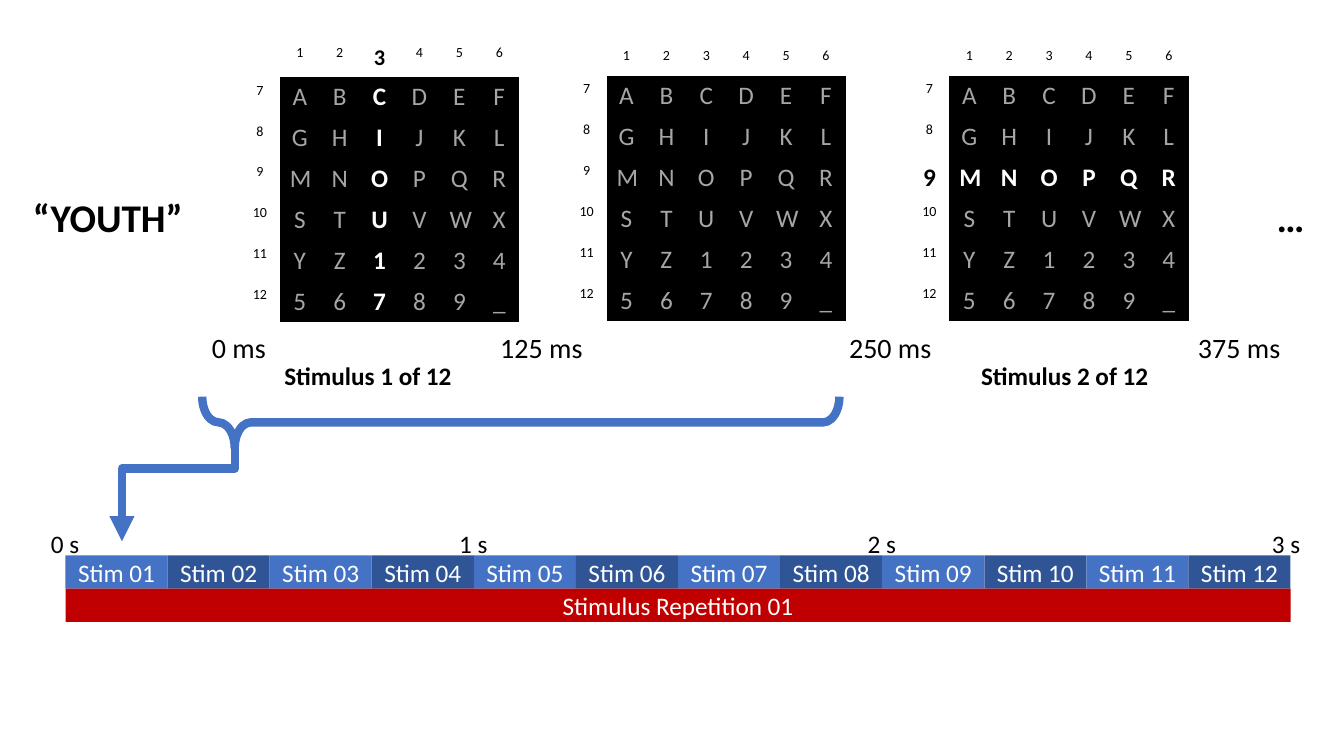
from dataclasses import dataclass

from lxml.etree import SubElement
from pptx import Presentation
from pptx.dml.color import RGBColor
from pptx.enum.shapes import MSO_CONNECTOR, MSO_SHAPE
from pptx.enum.text import MSO_ANCHOR, MSO_AUTO_SIZE, PP_ALIGN
from pptx.oxml.ns import qn
from pptx.util import Inches, Pt


@dataclass(frozen=True)
class Theme:
    font: str = "Calibri"
    black: str = "000000"
    white: str = "FFFFFF"
    dim: str = "A6A6A6"
    blue: str = "4472C4"
    navy: str = "2F5597"
    red: str = "C00000"
    tick: int = 10
    mark: int = 16
    body: int = 18
    time: int = 20
    word: int = 28
    stroke: int = 6


THEME = Theme()
PLAIN_STYLE = "{2D5ABB26-0587-4C30-8999-92F81FD0307C}"

LETTERS = ["ABCDEF", "GHIJKL", "MNOPQR", "STUVWX", "YZ1234", "56789_"]
# left, top, height, lit column or row number, size of the lit number
GRIDS = [
    (2.38, 0.39, 2.77, 3, THEME.mark),
    (5.62, 0.42, 2.73, None, None),
    (9.02, 0.42, 2.73, 9, THEME.body),
]
HEAD_H, ROW_H, GRID_W = 0.33, 0.36, 2.77

# text, left, top, width, height, size, bold
LABELS = [
    ("“YOUTH”", 0.22, 1.87, 1.7, 0.57, THEME.word, True),
    ("…", 12.56, 1.87, 0.48, 0.57, THEME.word, True),
    ("Stimulus 1 of 12", 2.71, 3.53, 1.88, 0.4, THEME.body, True),
    ("Stimulus 2 of 12", 9.62, 3.53, 1.88, 0.4, THEME.body, True),
    ("0 ms", 2, 3.23, 0.74, 0.44, THEME.time, False),
    ("125 ms", 4.86, 3.23, 1.02, 0.44, THEME.time, False),
    ("250 ms", 8.32, 3.23, 1.02, 0.44, THEME.time, False),
    ("375 ms", 11.78, 3.23, 1.02, 0.44, THEME.time, False),
    ("0 s", 0.4, 5.19, 0.49, 0.4, THEME.body, False),
    ("1 s", 4.45, 5.19, 0.49, 0.4, THEME.body, False),
    ("2 s", 8.5, 5.19, 0.49, 0.4, THEME.body, False),
    ("3 s", 12.51, 5.19, 0.49, 0.4, THEME.body, False),
]

STIMS = [f"Stim {n:02}" for n in range(1, 13)]
REPEAT = "Stimulus Repetition 01"
BAR_X, BAR_Y, BAR_W, BAR_H = 0.65, 5.51, 12.15, 0.33

BRACE = (4.91, 1.03, 0.51, 6.32)
BRACE_ADJ = (0.318, 0.949)
ARROW_FROM, ARROW_TO, ARROW_BEND = (2.33, 4.44), (1.21, 5.37), 0.223


def rgb(code):
    return RGBColor.from_string(code)


def write(frame, text, size=THEME.body, color=THEME.black, bold=False,
          align=PP_ALIGN.CENTER):
    para = frame.paragraphs[0]
    para.alignment = align
    run = para.add_run()
    run.text = text
    font = run.font
    font.name, font.size, font.bold = THEME.font, Pt(size), bold
    font.color.rgb = rgb(color)


def add_label(slide, text, left, top, width, height, size, bold):
    box = slide.shapes.add_textbox(*map(Inches, (left, top, width, height)))
    frame = box.text_frame
    frame.word_wrap = False
    frame.auto_size = MSO_AUTO_SIZE.SHAPE_TO_FIT_TEXT
    write(frame, text, size=size, bold=bold)


def add_bar(slide, text, left, top, width, fill):
    bar = slide.shapes.add_shape(
        MSO_SHAPE.RECTANGLE, *map(Inches, (left, top, width, BAR_H)))
    bar.shadow.inherit = False
    bar.fill.solid()
    bar.fill.fore_color.rgb = rgb(fill)
    bar.line.fill.background()
    bar.text_frame.vertical_anchor = MSO_ANCHOR.MIDDLE
    write(bar.text_frame, text, color=THEME.white)


def add_grid(slide, left, top, height, lit, lit_size):
    """Draw the speller matrix; lit is the number of its flashing line."""
    count = len(LETTERS) + 1
    holder = slide.shapes.add_table(
        count, count, *map(Inches, (left, top, GRID_W, height)))
    table = holder.table
    table.first_row = table.horz_banding = False
    next(holder.element.iter(qn("a:tableStyleId"))).text = PLAIN_STYLE
    for r, row in enumerate(table.rows):
        row.height = Inches(ROW_H if r else HEAD_H)
        for c, cell in enumerate(row.cells):
            across, down = c, r + len(LETTERS)
            if r and c:
                cell.fill.solid()
                cell.fill.fore_color.rgb = rgb(THEME.black)
                on = lit in (across, down)
                write(cell.text_frame, LETTERS[r - 1][c - 1], bold=on,
                      color=THEME.white if on else THEME.dim)
                continue
            cell.fill.background()
            if r or c:
                number = down if r else across
                on = number == lit
                write(cell.text_frame, str(number), bold=on,
                      size=lit_size if on else THEME.tick)
            else:
                para = next(cell.text_frame._txBody.iter(qn("a:p")))
                SubElement(para, qn("a:endParaRPr"), sz=str(THEME.tick * 100))
    holder.height = Inches(height)


def add_brace(slide):
    brace = slide.shapes.add_shape(MSO_SHAPE.RIGHT_BRACE, *map(Inches, BRACE))
    brace.rotation = 90
    brace.shadow.inherit = False
    for i, value in enumerate(BRACE_ADJ):
        brace.adjustments[i] = value
    brace.fill.background()
    brace.line.color.rgb = rgb(THEME.blue)
    brace.line.width = Pt(THEME.stroke)


def add_arrow(slide):
    """Draw the elbow as a quarter-turned box, so it leaves downwards."""
    (x1, y1), (x2, y2) = ARROW_FROM, ARROW_TO
    mid_x, mid_y = (x1 + x2) / 2, (y1 + y2) / 2
    half_w, half_h = abs(y2 - y1) / 2, abs(x2 - x1) / 2
    arrow = slide.shapes.add_connector(
        MSO_CONNECTOR.ELBOW,
        *map(Inches, (mid_x - half_w, mid_y - half_h,
                      mid_x + half_w, mid_y + half_h)))
    arrow.line.color.rgb = rgb(THEME.blue)
    arrow.line.width = Pt(THEME.stroke)
    props = arrow.element.spPr
    props.find(qn("a:xfrm")).set("rot", str(90 * 60000))
    SubElement(next(props.iter(qn("a:avLst"))), qn("a:gd"), name="adj1",
               fmla=f"val {round(ARROW_BEND * 100000)}")
    SubElement(props.find(qn("a:ln")), qn("a:tailEnd"), type="triangle")
    SubElement(props, qn("a:effectLst"))


def main():
    deck = Presentation()
    deck.slide_width, deck.slide_height = Inches(13.33), Inches(7.5)
    slide = deck.slides.add_slide(deck.slide_layouts[6])
    for grid in GRIDS:
        add_grid(slide, *grid)
    step = BAR_W / len(STIMS)
    for i, stim in enumerate(STIMS):
        add_bar(slide, stim, BAR_X + i * step, BAR_Y, step,
                THEME.navy if i % 2 else THEME.blue)
    add_bar(slide, REPEAT, BAR_X, BAR_Y + BAR_H, BAR_W, THEME.red)
    for label in LABELS:
        add_label(slide, *label)
    add_brace(slide)
    add_arrow(slide)
    deck.save("out.pptx")


if __name__ == "__main__":
    main()
